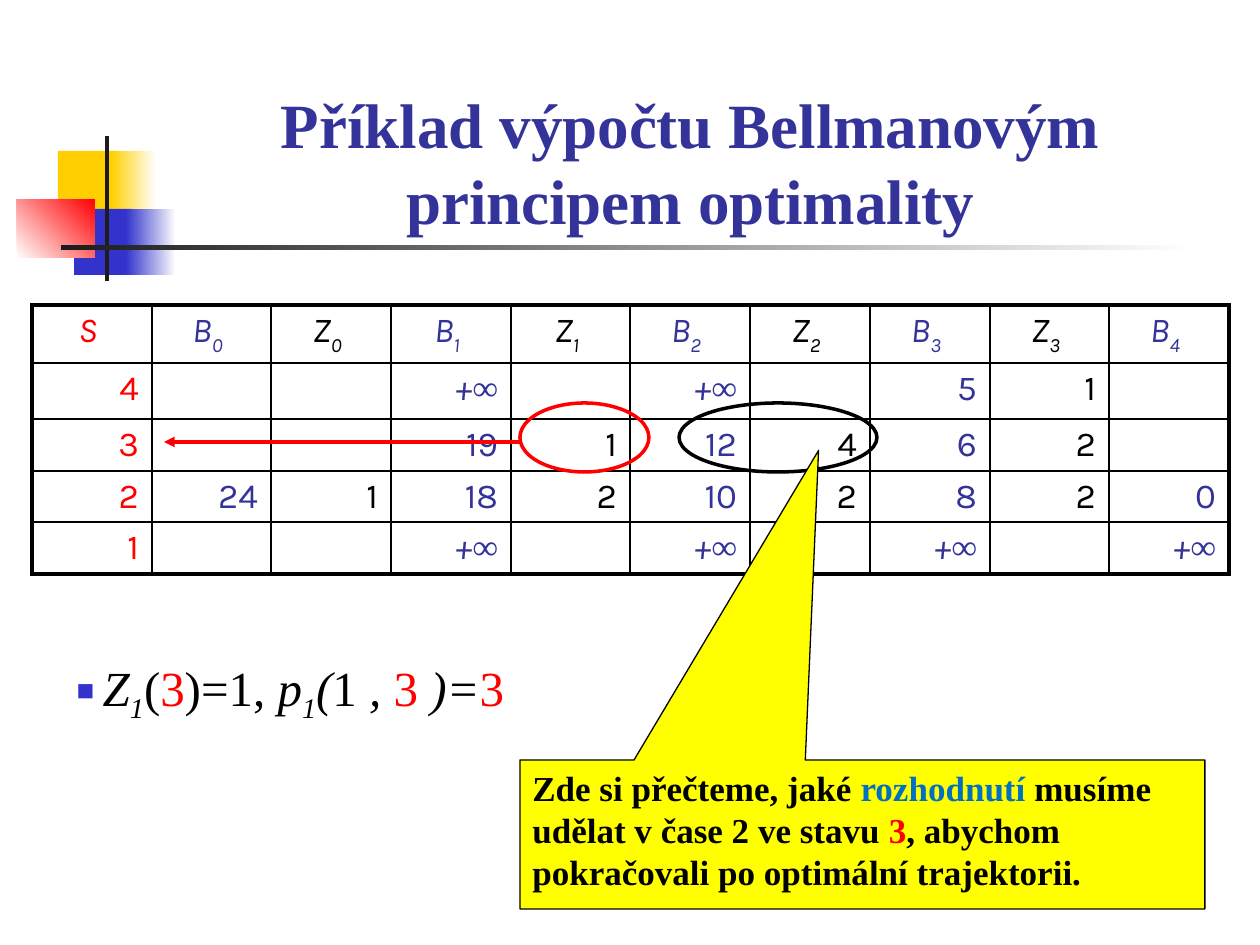
from lxml.etree import SubElement
from pptx import Presentation
from pptx.dml.color import RGBColor
from pptx.enum.shapes import MSO_CONNECTOR, MSO_SHAPE
from pptx.enum.text import MSO_ANCHOR, MSO_AUTO_SIZE, PP_ALIGN
from pptx.oxml.ns import qn
from pptx.util import Pt

PIXEL = 914400 // 126
SERIF, SANS = "Times New Roman", "Karla"
COLORS = {
    "black": "000000", "white": "FFFFFF", "red": "FF0000", "navy": "333399",
    "blue": "3333CC", "gold": "FFCF01", "ink": "1C1C1C", "yellow": "FFFF00",
    "sky": "0070C0",
}
# Each decoration: left, top, width, height, start colour, end colour, angle
DECORATIONS = [
    (58, 151, 60, 66, "gold", None, 0),
    (111, 151, 45, 66, "gold", "white", 0),
    (74, 209, 58, 66, "blue", None, 0),
    (126, 209, 50, 66, "blue", "white", 0),
    (17, 199, 78, 59, "white", "red", 45),
    (105, 136, 4, 145, "ink", None, 0),
    (61, 245, 1134, 5, "ink", "white", 0),
]
HEADERS = ["S", "B0", "Z0", "B1", "Z1", "B2", "Z2", "B3", "Z3", "B4"]
ROWS = [
    ["4", "", "", "+∞", "", "+∞", "", "5", "1", ""],
    ["3", "", "", "19", "1", "12", "4", "6", "2", ""],
    ["2", "24", "1", "18", "2", "10", "2", "8", "2", "0"],
    ["1", "", "", "+∞", "", "+∞", "", "+∞", "", "+∞"],
]
COLUMN_COLORS = {"S": "red", "B": "navy", "Z": "black"}
ROW_HEIGHTS = [58, 56, 52, 51, 52]
TABLE_LEFT, TABLE_TOP, TABLE_WIDTH = 32, 305, 1197


def pixels(*lengths):
    """Convert pixel lengths to EMU."""
    return [length * PIXEL for length in lengths]


def rgb(name):
    """Look up a named colour."""
    return RGBColor.from_string(COLORS[name])


def add_run(paragraph, text, size, color, font=SERIF, bold=False, italic=False, baseline=0):
    """Append one formatted run."""
    run = paragraph.add_run()
    run.text = text
    run.font.size = Pt(size)
    run.font.name = font
    run.font.bold = bold
    run.font.italic = italic
    run.font.color.rgb = rgb(color)
    if baseline:
        run.font._element.set("baseline", str(baseline * 1000))


def place(shape, *box):
    """Move a placeholder and switch off its text fitting."""
    shape.left, shape.top, shape.width, shape.height = pixels(*box)
    shape.text_frame.auto_size = MSO_AUTO_SIZE.NONE


def add_preset(slide, kind, box, fill=None, line=None, width=1):
    """Add a preset shape with an optional solid fill and outline."""
    shape = slide.shapes.add_shape(kind, *pixels(*box))
    shape.shadow.inherit = False
    if fill:
        shape.fill.solid()
        shape.fill.fore_color.rgb = rgb(fill)
    else:
        shape.fill.background()
    if line:
        shape.line.color.rgb = rgb(line)
        shape.line.width = Pt(width)
    else:
        shape.line.fill.background()
    return shape


def add_decorations(slide):
    """Draw the coloured squares and the two rules beside the title."""
    for *box, start, end, angle in DECORATIONS:
        shape = add_preset(slide, MSO_SHAPE.RECTANGLE, box, start)
        if end:
            shape.fill.gradient()
            shape.fill.gradient_angle = angle
            for stop, color in zip(shape.fill.gradient_stops, (start, end)):
                stop.color.rgb = rgb(color)


def fill_title(title):
    """Write the slide title."""
    place(title, 154, 86, 1073, 157)
    title.text_frame.vertical_anchor = MSO_ANCHOR.BOTTOM
    paragraph = title.text_frame.paragraphs[0]
    paragraph.alignment = PP_ALIGN.CENTER
    add_run(paragraph, "Příklad výpočtu Bellmanovým principem optimality", 36, "navy", bold=True)


def fill_formula(body):
    """Write the bulleted formula."""
    place(body, 64, 651, 486, 100)
    paragraph = body.text_frame.paragraphs[0]
    properties = paragraph._p.get_or_add_pPr()
    indent = 26 * PIXEL
    properties.set("marL", str(indent))
    properties.set("indent", str(-indent))
    bullet_color = SubElement(properties, qn("a:buClr"))
    SubElement(bullet_color, qn("a:srgbClr"), val=COLORS["blue"])
    SubElement(properties, qn("a:buSzPct"), val="60000")
    SubElement(properties, qn("a:buChar"), char="■")
    for text, color, italic, baseline in [
        ("Z", "black", True, 0), ("1", "black", True, -25),
        ("(", "black", False, 0), ("3", "red", False, 0),
        (")=1, ", "black", False, 0), ("p", "black", True, 0),
        ("1", "black", True, -25), ("(", "black", True, 0),
        ("1", "black", False, 0), (" , ", "black", True, 0),
        ("3", "red", False, 0), (" )=", "black", True, 0),
        ("3", "red", False, 0),
    ]:
        add_run(paragraph, text, 28, color, italic=italic, baseline=baseline)


def set_borders(cell, widths):
    """Draw black borders, given widths by side."""
    properties = cell._tc.get_or_add_tcPr()
    for position, (side, width) in enumerate(widths.items()):
        border = SubElement(properties, qn("a:ln" + side), w=str(Pt(width)))
        fill = SubElement(border, qn("a:solidFill"))
        SubElement(fill, qn("a:srgbClr"), val=COLORS["black"])
        properties.remove(border)
        properties.insert(position, border)


def fill_cell(cell, text, header, is_header):
    """Write one table cell in its column's colour."""
    cell.margin_left, cell.margin_top, cell.margin_right, cell.margin_bottom = pixels(5, 5, 13, 5)
    cell.fill.background()
    paragraph = cell.text_frame.paragraphs[0]
    paragraph.alignment = PP_ALIGN.CENTER if is_header else PP_ALIGN.RIGHT
    color = COLUMN_COLORS[header[0]]
    for position, character in enumerate(text):
        italic = is_header or "∞" in text
        font = SERIF if character == "∞" else SANS
        if is_header or italic:
            baseline = -30 if is_header and position else 0
            add_run(paragraph, character, 20, color, font, italic=italic, baseline=baseline)
    if text and not is_header and "∞" not in text:
        add_run(paragraph, text, 20, color, SANS)


def add_value_table(slide):
    """Add the table of values B and decisions Z for every state S."""
    rows = [HEADERS] + ROWS
    last_row, last_column = len(rows) - 1, len(HEADERS) - 1
    box = pixels(TABLE_LEFT, TABLE_TOP, TABLE_WIDTH, sum(ROW_HEIGHTS))
    table = slide.shapes.add_table(len(rows), len(HEADERS), *box).table
    table.first_row = table.horz_banding = False
    edges = [round(TABLE_WIDTH * index / len(HEADERS)) for index in range(len(HEADERS) + 1)]
    for column, start, end in zip(table.columns, edges, edges[1:]):
        column.width = (end - start) * PIXEL
    for row_index, values in enumerate(rows):
        table.rows[row_index].height = ROW_HEIGHTS[row_index] * PIXEL
        for column_index, text in enumerate(values):
            cell = table.cell(row_index, column_index)
            fill_cell(cell, text, HEADERS[column_index], row_index == 0)
            outer = {"L": column_index == 0, "R": column_index == last_column,
                     "T": row_index == 0, "B": row_index == last_row}
            set_borders(cell, {side: 2.25 if edge else 1 for side, edge in outer.items()})


def add_arrow(slide, start, end, color):
    """Add a straight arrow pointing at its end."""
    arrow = slide.shapes.add_connector(MSO_CONNECTOR.STRAIGHT, *pixels(*start, *end))
    arrow.line.color.rgb = rgb(color)
    arrow.line.width = Pt(2)
    SubElement(arrow.line._get_or_add_ln(), qn("a:tailEnd"), type="triangle")
    SubElement(arrow._element.spPr, qn("a:effectLst"))


def add_callout(slide):
    """Add the yellow callout pointing at the decision."""
    box = (520, 760, 685, 149)
    callout = add_preset(slide, MSO_SHAPE.RECTANGULAR_CALLOUT, box, "yellow", "black", 0.75)
    callout.adjustments[0], callout.adjustments[1] = -0.064, -2.577
    frame = callout.text_frame
    frame.word_wrap = True
    frame.vertical_anchor = MSO_ANCHOR.TOP
    paragraph = frame.paragraphs[0]
    paragraph.alignment = PP_ALIGN.LEFT
    for text, color in [
        ("Zde si přečteme, jaké ", "black"), ("rozhodnutí ", "sky"),
        ("musíme udělat v čase 2 ve stavu ", "black"), ("3", "red"),
        (", abychom pokračovali po optimální trajektorii.", "black"),
    ]:
        add_run(paragraph, text, 20, color, bold=True)


def main():
    """Build the slide and save it."""
    presentation = Presentation()
    presentation.slide_width, presentation.slide_height = pixels(1260, 945)
    slide = presentation.slides.add_slide(presentation.slide_layouts[1])
    add_decorations(slide)
    fill_title(slide.shapes.title)
    fill_formula(slide.placeholders[1])
    add_value_table(slide)
    add_preset(slide, MSO_SHAPE.OVAL, (520, 403, 129, 69), line="red", width=2)
    add_arrow(slide, (520, 442), (164, 442), "red")
    add_preset(slide, MSO_SHAPE.OVAL, (679, 403, 198, 69), line="black", width=2)
    add_callout(slide)
    presentation.save("out.pptx")


main()
